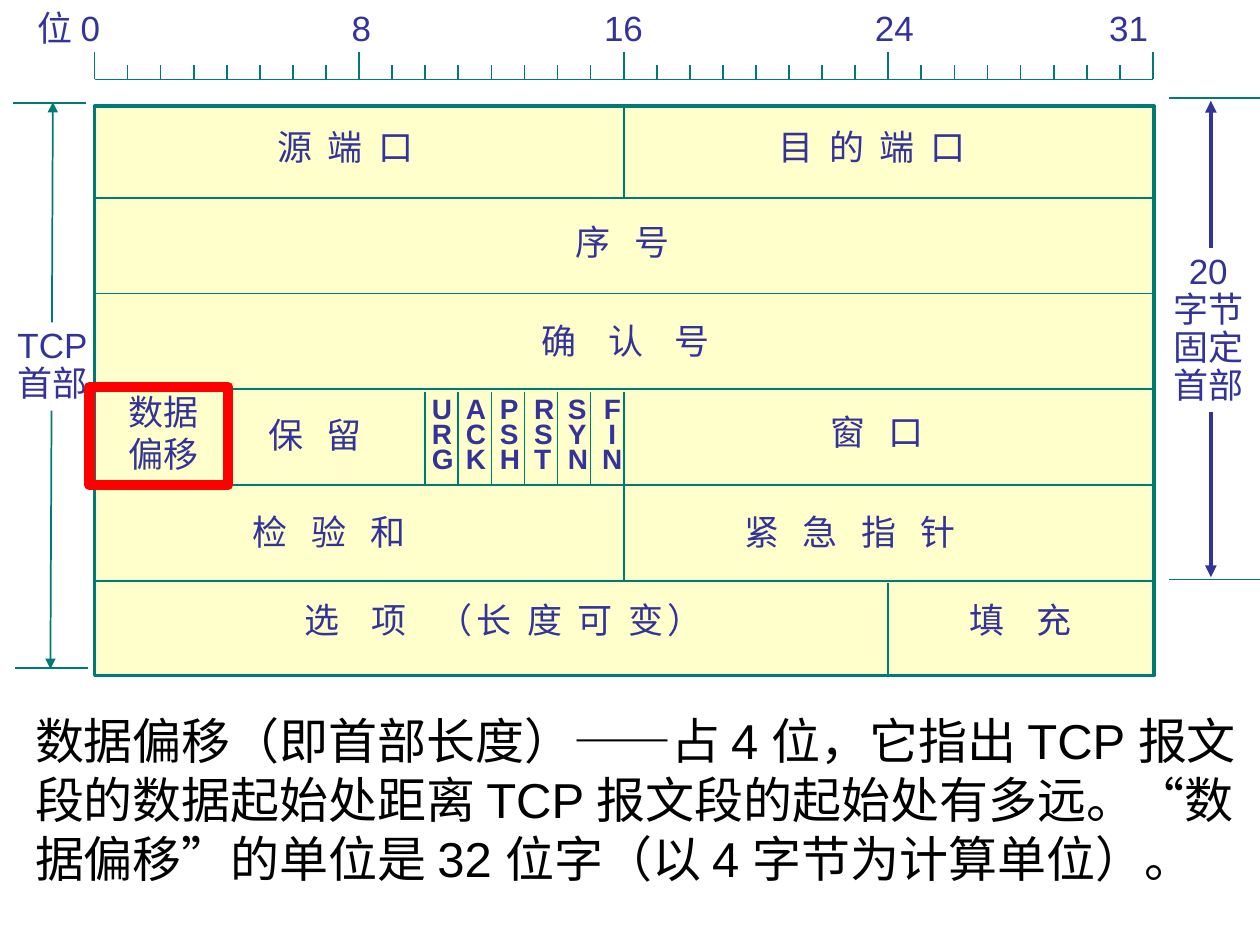
from pptx import Presentation
from pptx.dml.color import RGBColor
from pptx.enum.shapes import MSO_CONNECTOR, MSO_SHAPE
from pptx.enum.text import MSO_AUTO_SIZE, PP_ALIGN
from pptx.oxml.ns import qn
from pptx.util import Inches, Pt
from lxml import etree

STRAIGHT, RECTANGLE = MSO_CONNECTOR.STRAIGHT, MSO_SHAPE.RECTANGLE
LEFT, CENTER = PP_ALIGN.LEFT, PP_ALIGN.CENTER
GROW = MSO_AUTO_SIZE.SHAPE_TO_FIT_TEXT

THEME = {
    "font": "Arial",
    "ink": RGBColor(0x33, 0x33, 0x99),
    "rule": RGBColor(0x00, 0x7A, 0x77),
    "header": RGBColor(0xFF, 0xFF, 0xCC),
    "mark": RGBColor(0xFF, 0x00, 0x00),
    "body": RGBColor(0x00, 0x00, 0x00),
    "paper": RGBColor(0xFF, 0xFF, 0xFF),
    "label_size": 20, "flag_size": 16, "body_size": 28,
}

# Field labels: spans of (text, letter spacing in points), then left, top, width
FIELDS = [
    ([("源 端 口", 2.24)], 2.1, 0.95, 1.59),
    ([("目 的 端 口", 2.24)], 6.08, 0.95, 2.15),
    ([("序 号", 4.48)], 4.47, 1.7, 1.51),
    ([("确 认 号", 6.72)], 4.2, 2.49, 2.01),
    ([("保 留", 4.48)], 2.03, 3.23, 1.17),
    ([("窗 口", 4.48)], 6.49, 3.21, 1.17),
    ([("检 验 和", 4.48)], 1.91, 4, 1.87),
    ([("紧 急 指 针", 4.48)], 5.81, 4, 2.56),
    ([("选 项 ", 6.72), ("（长 度 可 变）", 2.24)], 2.32, 4.7, 3.5),
    ([("填 充", 6.72)], 7.6, 4.7, 1.37),
]
FLAGS = ["URG", "ACK", "PSH", "RST", "SYN", "FIN"]
RULER_TEXT = "位 0\t8\t16\t24\t31"
RULER_STOPS = [2.87, 4.95, 7.1, 8.96]
NOTE = ("数据偏移（即首部长度）——占 4 位，它指出 TCP 报文段的数据起始处距离 TCP 报文段的起始处有多远。"
        "“数据偏移”的单位是 32 位字（以 4 字节为计算单位）。")

# Header grid: 32 bits across, six rows down
GRID_LEFT, GRID_RIGHT, BIT = 0.75, 9.15, 0.2625
GRID_TOP, ROW, ROWS = 0.81, 0.76, 6
# Dividers inside the rows: (bit, first row, last row)
DIVIDERS = [(16, 0, 0), (4, 3, 3), (16, 3, 4), (24, 5, 5)]
DIVIDERS += [(10 + number, 3, 3) for number in range(len(FLAGS))]

deck = Presentation()
deck.slide_width, deck.slide_height = Inches(10), Inches(7.5)
page = deck.slides.add_slide(deck.slide_layouts[6])


def bit_x(bit):
    return GRID_LEFT + bit * BIT


def row_y(row):
    return GRID_TOP + row * ROW


def add_line(x1, y1, x2, y2, color="rule", width=1, arrows=False):
    line = page.shapes.add_connector(
        STRAIGHT, Inches(x1), Inches(y1), Inches(x2), Inches(y2))
    line.line.color.rgb = THEME[color]
    line.line.width = Pt(width)
    if arrows:
        outline = line.line._get_or_add_ln()
        for end in ("a:headEnd", "a:tailEnd"):
            etree.SubElement(outline, qn(end), type="triangle")
    etree.SubElement(line._element.spPr, qn("a:effectLst"))


def add_frame(left, top, width, height, line, weight, fill=None):
    frame = page.shapes.add_shape(
        RECTANGLE, Inches(left), Inches(top), Inches(width), Inches(height))
    frame.shadow.inherit = False
    frame.line.color.rgb = THEME[line]
    frame.line.width = Pt(weight)
    if fill:
        frame.fill.solid()
        frame.fill.fore_color.rgb = THEME[fill]
    else:
        frame.fill.background()


def add_text(paragraphs, left, top, width, height=0.43, size="label_size",
             color="ink", bold=False, align=LEFT, spacing=1.0,
             wrap=True, fill=None, stops=()):
    """Each paragraph is a string or a list of (text, letter spacing)."""
    box = page.shapes.add_textbox(
        Inches(left), Inches(top), Inches(width), Inches(height))
    if fill:
        box.fill.solid()
        box.fill.fore_color.rgb = THEME[fill]
    frame = box.text_frame
    frame.word_wrap, frame.auto_size = wrap, GROW
    font_format = {"name": THEME["font"], "size": Pt(THEME[size]), "bold": bold}
    for index, spans in enumerate(paragraphs):
        para = frame.add_paragraph() if index else frame.paragraphs[0]
        para.alignment, para.line_spacing = align, spacing
        if stops:
            tabs = etree.SubElement(para._p.get_or_add_pPr(), qn("a:tabLst"))
            for stop in stops:
                offset = Inches(stop - left - 0.1)
                etree.SubElement(tabs, qn("a:tab"), pos=str(offset), algn="ctr")
        for text, tracking in [(spans, 0)] if isinstance(spans, str) else spans:
            span = para.add_run()
            span.text = text
            for name, value in font_format.items():
                setattr(span.font, name, value)
            span.font.color.rgb = THEME[color]
            if tracking:
                span._r.get_or_add_rPr().set("spc", str(round(tracking * 100)))


# Extent arrows and their labels on both sides
add_line(0.42, 0.81, 0.4, 5.31, arrows=True)
add_text(["TCP", "首部"], 0.04, 2.56, 0.76, 0.7, spacing=0.9, wrap=False, fill="paper")
add_line(9.61, 0.8, 9.61, 4.58, "ink", 2.25, arrows=True)
add_text(["20", "字节", "固定", "首部"], 9.21, 1.97, 0.76, 1.3,
         align=CENTER, spacing=0.9, wrap=False, fill="paper")
for x1, x2, y in [(9.28, 10, 0.78), (9.28, 10, 4.6), (0.1, 0.68, 0.82), (0.12, 0.7, 5.3)]:
    add_line(x1, y, x2, y)

# Header grid
add_frame(GRID_LEFT, 0.84, 8.41, 4.52, "rule", 2, "header")
for row in range(1, ROWS):
    add_line(GRID_LEFT, row_y(row), GRID_RIGHT, row_y(row))
for bit, first, last in DIVIDERS:
    add_line(bit_x(bit), row_y(first) + 0.02, bit_x(bit), row_y(last + 1))

# Field and flag labels
for spans, left, top, width in FIELDS:
    add_text([spans], left, top, width)
add_text(["数据", "偏移"], 0.92, 3.05, 0.76, 0.76, wrap=False)
for number, flag in enumerate(FLAGS):
    add_text(list(flag), 3.33 + number * 0.27, 3.12, 0.36, 0.7, size="flag_size",
             bold=True, align=CENTER if flag == "FIN" else LEFT,
             spacing=0.75, wrap=False)

# Bit ruler
add_line(GRID_LEFT, 0.63, GRID_RIGHT, 0.63)
for bit in range(33):
    add_line(bit_x(bit), 0.52 if bit % 8 else 0.41, bit_x(bit), 0.63)
add_text([RULER_TEXT], 0.2, 0, 9.11, stops=RULER_STOPS)

# Explanation and highlighted field
add_text([NOTE], 0.18, 5.59, 9.82, 1.97, size="body_size", color="body")
add_frame(0.71, 3.07, 1.1, 0.78, "mark", 6)

deck.save("out.pptx")
